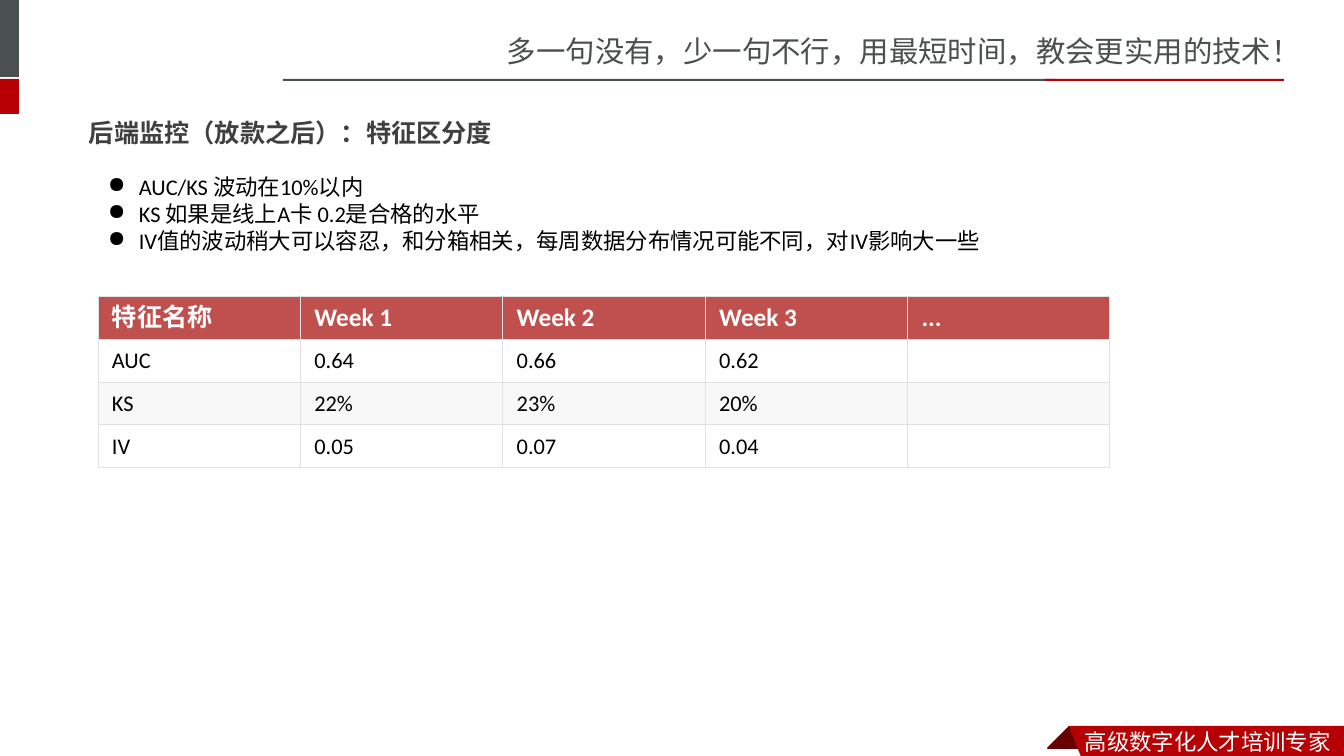
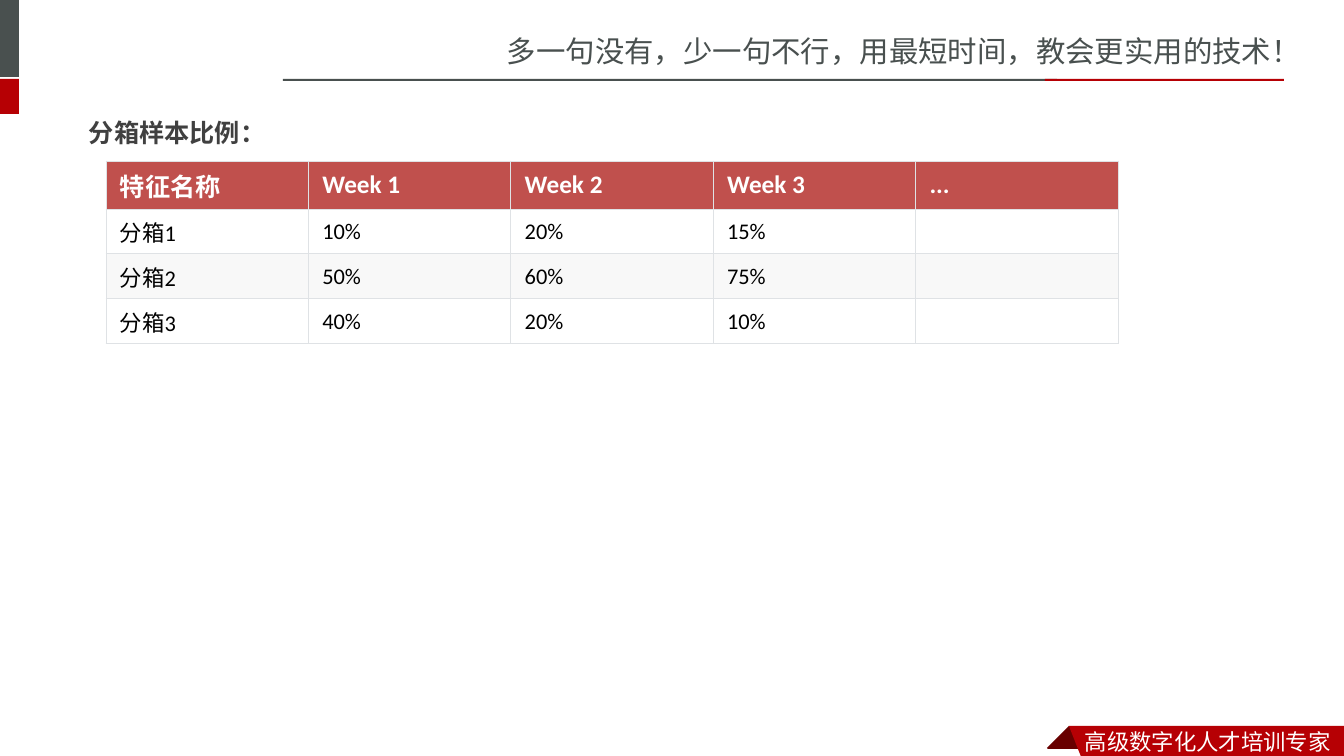
"""Build two slides on monitoring feature discrimination and bin shares."""
from dataclasses import dataclass

from lxml import etree
from pptx import Presentation
from pptx import util as u
from pptx.dml.color import RGBColor
from pptx.enum import shapes, text
from pptx.oxml.ns import qn

PX = 914400 / 100.8
SLIDE_SIZE = (1344, 756)
COLORS = {
    "slate": "49504F", "red": "B60004", "maroon": "680000", "white": "FFFFFF",
    "heading": "404040", "black": "000000", "table_head": "C0504D",
    "stripe": "F8F8F8", "border": "DFE2E5",
}
SANS, SANS_JP, LATIN = "Noto Sans CJK SC", "Noto Sans CJK JP", "Calibri"
STYLES = {
    "slogan": {"name": SANS, "size": u.Pt(21), "bold": False},
    "footer": {"name": SANS, "size": u.Pt(16), "bold": False},
    "heading": {"name": SANS_JP, "size": u.Pt(18), "bold": True},
    "body": {"name": LATIN, "size": u.Pt(16), "bold": False},
    "table_head": {"name": LATIN, "size": u.Pt(18), "bold": True},
}
CELL_FORMAT = {
    "margin_left": 14, "margin_right": 14, "margin_top": 6, "margin_bottom": 6,
}
COLUMN_WIDTH = 1012 / 5


@dataclass(frozen=True)
class Box:
    left: int
    top: int
    width: int
    height: int


@dataclass(frozen=True)
class Bar:
    box: Box
    color: str


@dataclass(frozen=True)
class Ribbon:
    points: tuple[tuple[int, int], ...]
    color: str


@dataclass(frozen=True)
class Label:
    box: Box
    lines: tuple[str, ...]
    style: str
    color: str
    east_asian: str = SANS
    middle: bool = False
    bulleted: bool = False


@dataclass(frozen=True)
class WeeklyTable:
    left: int
    top: int
    head_height: int
    row_height: int
    rows: tuple[tuple[str, ...], ...]
    east_asian: str


@dataclass(frozen=True)
class Page:
    heading: str
    table: WeeklyTable
    notes: tuple[Label, ...] = ()


BARS = (
    Bar(Box(-6, 0, 25, 77), "slate"),
    Bar(Box(-6, 79, 25, 35), "red"),
    Bar(Box(283, 79, 774, 2), "slate"),
    Bar(Box(1045, 79, 239, 2), "red"),
)
RIBBONS = (
    Ribbon(((1069, 726), (1092, 748), (1091, 749), (1048, 749), (1047, 748)), "maroon"),
    Ribbon(((1069, 726), (1344, 726), (1344, 760), (1082, 759)), "red"),
)
SHARED_LABELS = (
    Label(Box(497, 28, 847, 45), ("多一句没有，少一句不行，用最短时间，教会更实用的技术！",),
          "slogan", "slate"),
    Label(Box(1075, 723, 269, 37), ("高级数字化人才培训专家",), "footer", "white"),
)
WEEKS = ("特征名称", "Week 1", "Week 2", "Week 3", "...")
PAGES = (
    Page(
        "后端监控（放款之后）：特征区分度",
        WeeklyTable(98, 296, 43, 43, (
            WEEKS,
            ("AUC", "0.64", "0.66", "0.62", ""),
            ("KS", "22%", "23%", "20%", ""),
            ("IV", "0.05", "0.07", "0.04", ""),
        ), LATIN),
        (Label(Box(98, 168, 894, 110), (
            "AUC/KS 波动在10%以内",
            "KS 如果是线上A卡 0.2是合格的水平",
            "IV值的波动稍大可以容忍，和分箱相关，每周数据分布情况可能不同，对IV影响大一些",
        ), "body", "black", LATIN, bulleted=True),),
    ),
    Page(
        "分箱样本比例：",
        WeeklyTable(106, 161, 48, 45, (
            WEEKS,
            ("分箱1", "10%", "20%", "15%", ""),
            ("分箱2", "50%", "60%", "75%", ""),
            ("分箱3", "40%", "20%", "10%", ""),
        ), SANS),
    ),
)


def px(length: float) -> u.Emu:
    return u.Emu(round(length * PX))


def place(box: Box) -> tuple[u.Emu, ...]:
    return px(box.left), px(box.top), px(box.width), px(box.height)


def rgb(color: str) -> RGBColor:
    return RGBColor.from_string(COLORS[color])


def paint(shape, color: str) -> None:
    shape.shadow.inherit = False
    shape.fill.solid()
    shape.fill.fore_color.rgb = rgb(color)
    shape.line.fill.background()


def write(paragraph, words: str, style: str, color: str, east_asian: str) -> None:
    run = paragraph.add_run()
    run.text = words
    for attribute, value in STYLES[style].items():
        setattr(run.font, attribute, value)
    run.font.color.rgb = rgb(color)
    latin = run.font._element.find(qn("a:latin"))
    script = etree.Element(qn("a:ea"), typeface=east_asian)
    latin.addnext(script)


def add_bullet(paragraph) -> None:
    properties = paragraph._p.get_or_add_pPr()
    properties.set("marL", str(px(31)))
    properties.set("indent", str(px(-31)))
    etree.SubElement(properties, qn("a:buChar"), char="●")


def draw_label(slide, label: Label) -> None:
    frame = slide.shapes.add_textbox(*place(label.box)).text_frame
    frame.word_wrap = True
    frame.vertical_anchor = text.MSO_ANCHOR.MIDDLE if label.middle else text.MSO_ANCHOR.TOP
    for index, line in enumerate(label.lines):
        paragraph = frame.add_paragraph() if index else frame.paragraphs[0]
        if label.bulleted:
            add_bullet(paragraph)
        write(paragraph, line, label.style, label.color, label.east_asian)


def draw_shared(slide) -> None:
    for bar in BARS:
        paint(slide.shapes.add_shape(shapes.MSO_SHAPE.RECTANGLE, *place(bar.box)), bar.color)
    for ribbon in RIBBONS:
        outline = slide.shapes.build_freeform(*ribbon.points[0], scale=PX)
        outline.add_line_segments(ribbon.points[1:], close=True)
        paint(outline.convert_to_shape(), ribbon.color)
    for label in SHARED_LABELS:
        draw_label(slide, label)


def add_borders(cell) -> None:
    properties = cell._tc.get_or_add_tcPr()
    for side in ("lnL", "lnR", "lnT", "lnB"):
        edge = etree.SubElement(properties, qn(f"a:{side}"), w=str(u.Pt(0.75)))
        fill = etree.SubElement(edge, qn("a:solidFill"))
        etree.SubElement(fill, qn("a:srgbClr"), val=COLORS["border"])


def draw_table(slide, weekly: WeeklyTable) -> None:
    row_count, column_count = len(weekly.rows), len(WEEKS)
    heights = [weekly.head_height] + [weekly.row_height] * (row_count - 1)
    grid = slide.shapes.add_table(
        row_count, column_count, px(weekly.left), px(weekly.top),
        px(COLUMN_WIDTH * column_count), px(sum(heights))).table
    grid.horz_banding = False
    for column in grid.columns:
        column.width = px(COLUMN_WIDTH)
    for index, (values, height) in enumerate(zip(weekly.rows, heights)):
        grid.rows[index].height = px(height)
        background = "stripe" if index == 2 else "white"
        style, ink = "body", "black"
        if index == 0:
            background, style, ink = "table_head", "table_head", "white"
        for cell, value in zip(grid.rows[index].cells, values):
            for attribute, length in CELL_FORMAT.items():
                setattr(cell, attribute, px(length))
            cell.vertical_anchor = text.MSO_ANCHOR.MIDDLE
            add_borders(cell)
            cell.fill.solid()
            cell.fill.fore_color.rgb = rgb(background)
            if value:
                write(cell.text_frame.paragraphs[0], value, style, ink, weekly.east_asian)


def main() -> None:
    deck = Presentation()
    deck.slide_width, deck.slide_height = map(px, SLIDE_SIZE)
    for page in PAGES:
        slide = deck.slides.add_slide(deck.slide_layouts[6])
        draw_shared(slide)
        draw_label(slide, Label(Box(79, 104, 1185, 57), (page.heading,),
                                "heading", "heading", SANS_JP, middle=True))
        for note in page.notes:
            draw_label(slide, note)
        draw_table(slide, page.table)
    deck.save("out.pptx")


if __name__ == "__main__":
    main()
